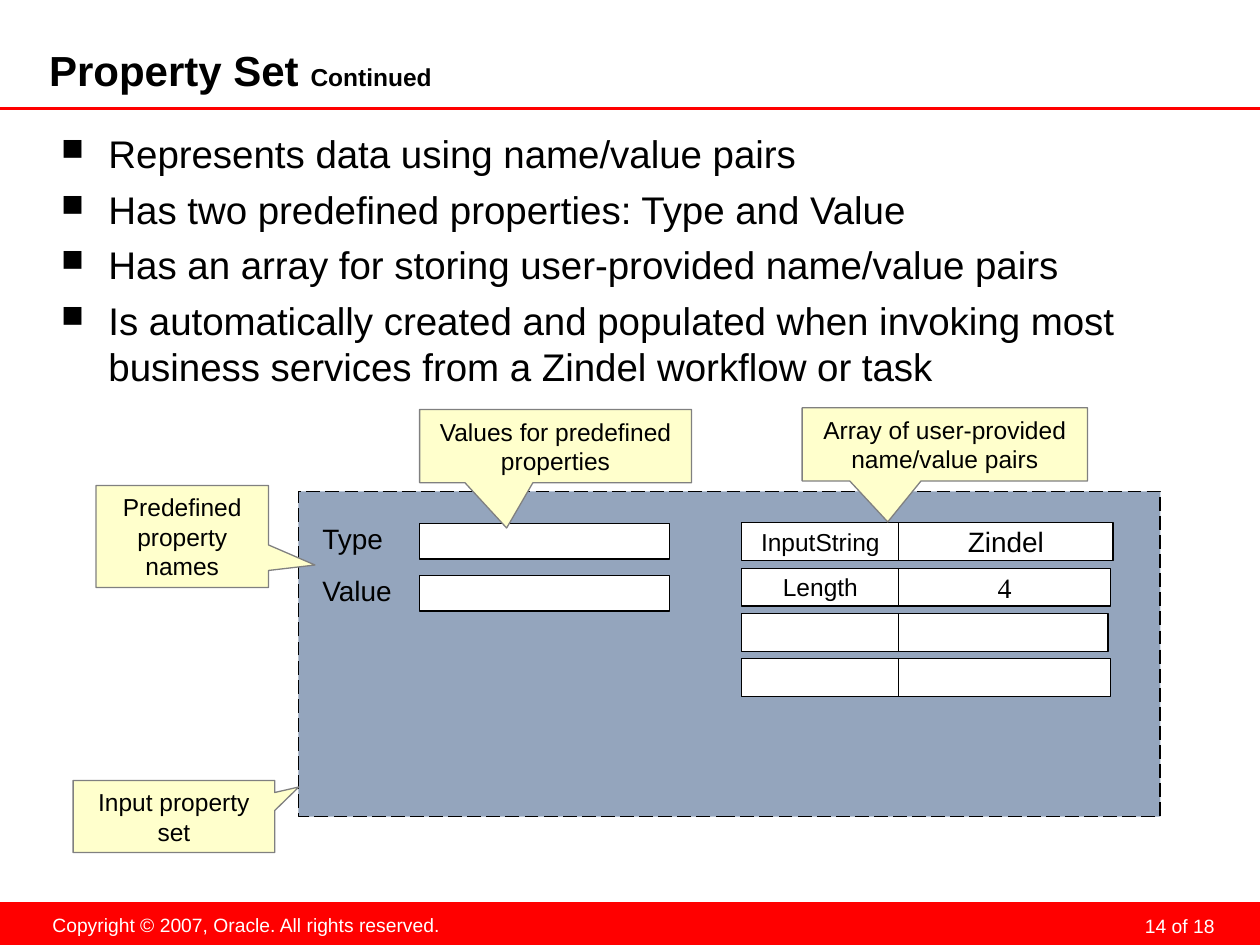
import pptx
import pptx.dml.color
import pptx.enum.dml
import pptx.enum.shapes
import pptx.enum.text
import pptx.oxml
import pptx.oxml.ns
import pptx.util
from lxml import etree

Pt = pptx.util.Pt
ALIGN = pptx.enum.text.PP_ALIGN
ANCHOR = pptx.enum.text.MSO_ANCHOR
SHAPE = pptx.enum.shapes.MSO_SHAPE

COLORS = {
    "black": "000000",
    "white": "FFFFFF",
    "red": "FF0000",
    "panel": "94A5BD",
    "note": "FFFFCC",
    "note_line": "808080",
}
BULLETS = [
    "Represents data using name/value pairs",
    "Has two predefined properties: Type and Value",
    "Has an array for storing user-provided name/value pairs",
    "Is automatically created and populated when invoking most "
    "business services from a Zindel workflow or task",
]
# name, value, value font, width of the value cell
PAIRS = [
    ("InputString", "Zindel", "Arial", 122.4),
    ("Length", "4", "Times New Roman", 121),
    ("", "", "Arial", 119.5),
    ("", "", "Arial", 121),
]
# text, box, pointer position
CALLOUTS = [
    ("Predefined property names", (54.9, 277.4, 98.5, 58.3), (0.77, 0.28)),
    ("Values for predefined properties", (239.8, 234, 155.4, 41.8), (-0.18, 1.12)),
    ("Array of user-provided name/value pairs", (458.4, 233, 163.1, 41.8), (-0.2, 1.06)),
    ("Input property set", (41.8, 446, 115.2, 41.2), (0.62, -0.41)),
]


def rgb(name):
    return pptx.dml.color.RGBColor.from_string(COLORS[name])


def set_values(target, values):
    for name, value in values.items():
        setattr(target, name, value)


def set_frame(frame, margins=(7.2, 3.6, 7.2, 3.6), wrap=True, anchor=ANCHOR.TOP):
    left, top, right, bottom = map(Pt, margins)
    set_values(frame, {
        "margin_left": left, "margin_top": top,
        "margin_right": right, "margin_bottom": bottom,
        "word_wrap": wrap, "vertical_anchor": anchor,
    })


def write(para, text, size, color="black", font="Arial", bold=False):
    span = para.add_run()
    span.text = text
    set_values(span.font, {"size": Pt(size), "name": font, "bold": bold})
    span.font.color.rgb = rgb(color)


def add_text(slide, box, text, size, color="black", align=ALIGN.LEFT, **frame_values):
    label = slide.shapes.add_textbox(*map(Pt, box))
    set_frame(label.text_frame, **frame_values)
    para = label.text_frame.paragraphs[0]
    para.alignment = align
    write(para, text, size, color)
    return para


def add_block(slide, box, fill, line=None, width=0.75, kind=SHAPE.RECTANGLE):
    block = slide.shapes.add_shape(kind, *map(Pt, box))
    block.shadow.inherit = False
    block.fill.solid()
    block.fill.fore_color.rgb = rgb(fill)
    if line:
        block.line.color.rgb = rgb(line)
        block.line.width = Pt(width)
    else:
        block.line.fill.background()
    return block


def add_cell(slide, box, text="", size=14, font="Arial"):
    cell = add_block(slide, box, "white", "black")
    if text:
        set_frame(cell.text_frame, wrap=False, anchor=ANCHOR.MIDDLE)
        para = cell.text_frame.paragraphs[0]
        para.alignment = ALIGN.CENTER
        write(para, text, size, font=font)


def add_callout(slide, text, box, pointer):
    callout = add_block(slide, box, "note", "note_line",
                        kind=SHAPE.RECTANGULAR_CALLOUT)
    for index, value in enumerate(pointer):
        callout.adjustments[index] = value
    set_frame(callout.text_frame, (7.5, 4, 7.5, 4), anchor=ANCHOR.MIDDLE)
    para = callout.text_frame.paragraphs[0]
    para.alignment = ALIGN.CENTER
    write(para, text, 14)


def add_rule(slide, top):
    rule = slide.shapes.add_connector(
        pptx.enum.shapes.MSO_CONNECTOR.STRAIGHT, Pt(0), Pt(top), Pt(720), Pt(top))
    rule.line.color.rgb = rgb("red")
    rule.line.width = Pt(1.75)
    etree.SubElement(rule._element.spPr, pptx.oxml.ns.qn("a:effectLst"))


def set_bullet(para):
    """Give the paragraph a small black square and a hanging indent."""
    properties = para._p.get_or_add_pPr()
    properties.set("marL", str(Pt(27)))
    properties.set("indent", str(-Pt(27)))
    qn = pptx.oxml.ns.qn
    color = etree.SubElement(properties, qn("a:buClr"))
    etree.SubElement(color, qn("a:srgbClr"), val=COLORS["black"])
    etree.SubElement(properties, qn("a:buSzPct"), val="80000")
    etree.SubElement(properties, qn("a:buChar"), char="■")


def add_bullets(slide, box, items):
    body = slide.shapes.add_textbox(*map(Pt, box))
    frame = body.text_frame
    set_frame(frame, (7.2, 7.2, 7.2, 3.6))
    for index, item in enumerate(items):
        para = frame.add_paragraph() if index else frame.paragraphs[0]
        set_bullet(para)
        if index:
            para.space_before = Pt(5.5)
        write(para, item, 22)


def add_footer(slide):
    add_block(slide, (0, 515.5, 720, 24.5), "red")
    number = add_text(slide, (529.9, 517.7, 167.8, 18), "14 of 18", 11, "white",
                      ALIGN.RIGHT, margins=(3.6, 0, 3.6, 0))
    number.line_spacing = Pt(18)
    add_text(slide, (22.3, 518.4, 236.9, 20.9),
             "Copyright © 2007, Oracle. All rights reserved.", 11, "white",
             ALIGN.CENTER, wrap=False)


def add_title(slide):
    title = slide.shapes.add_textbox(Pt(28.1), Pt(27.4), Pt(566.6), Pt(28.8))
    set_frame(title.text_frame, (0, 0, 3.6, 3.6), anchor=ANCHOR.MIDDLE)
    para = title.text_frame.paragraphs[0]
    write(para, "Property Set ", 24, bold=True)
    write(para, "Continued", 14, bold=True)


def add_property_set(slide):
    panel = add_block(slide, (170.6, 280.8, 492.5, 185.8), "panel", "black", 1)
    panel.line.dash_style = pptx.enum.dml.MSO_LINE.LONG_DASH
    for row, name in enumerate(("Type", "Value")):
        add_cell(slide, (239.8, 299.3 + 29.6 * row, 142.6, 20.2))
        add_text(slide, (177.1, 294.5 + 29.6 * row, 55, 26.6), name, 16, wrap=False)
    for row, (name, value, font, width) in enumerate(PAIRS):
        top = 298.8 + 25.9 * row
        add_cell(slide, (423.8, top, 90, 21.6), name)
        add_cell(slide, (513.6, top, width, 21.6), value, 16, font)


def main():
    deck = pptx.Presentation()
    deck.slide_width, deck.slide_height = Pt(720), Pt(540)
    slide = deck.slides.add_slide(deck.slide_layouts[6])
    add_footer(slide)
    add_rule(slide, 62.1)
    add_title(slide)
    add_bullets(slide, (27.9, 67, 669.6, 445), BULLETS)
    add_property_set(slide)
    for text, box, pointer in CALLOUTS:
        add_callout(slide, text, box, pointer)
    deck.save("out.pptx")


if __name__ == "__main__":
    main()
